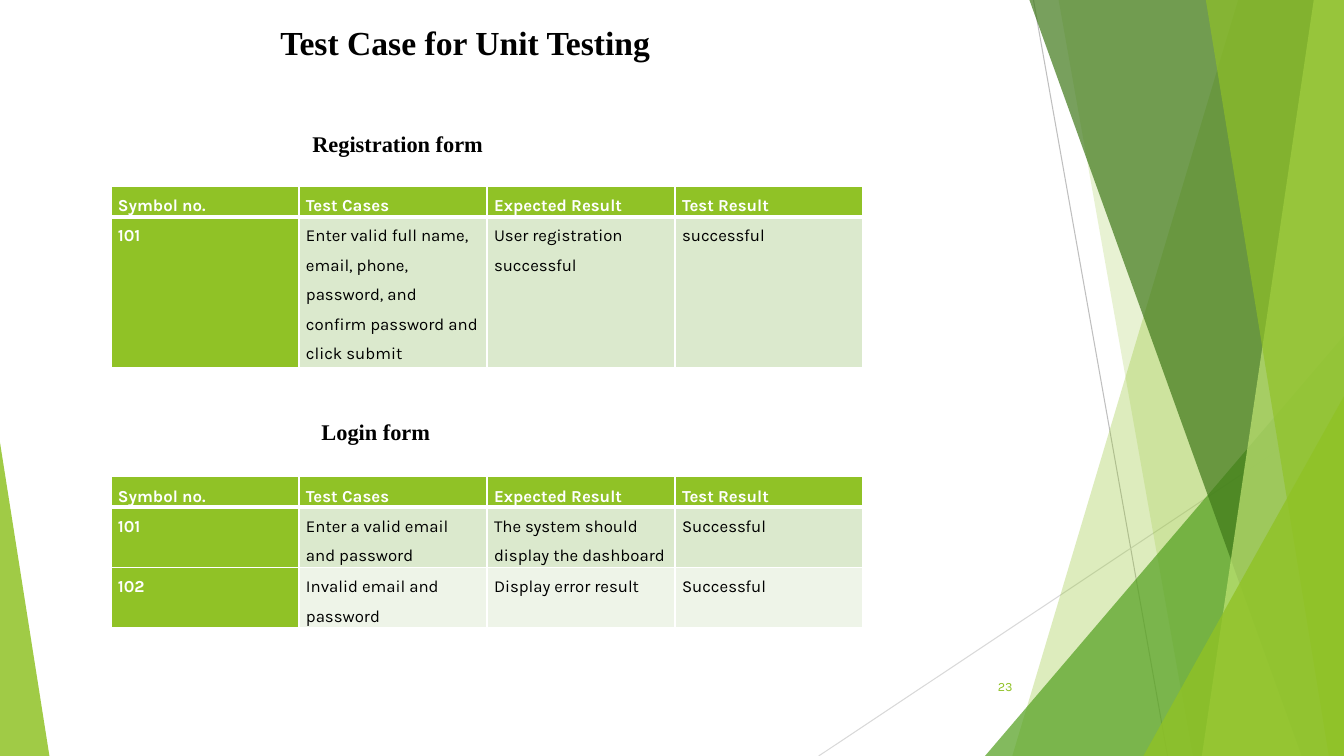
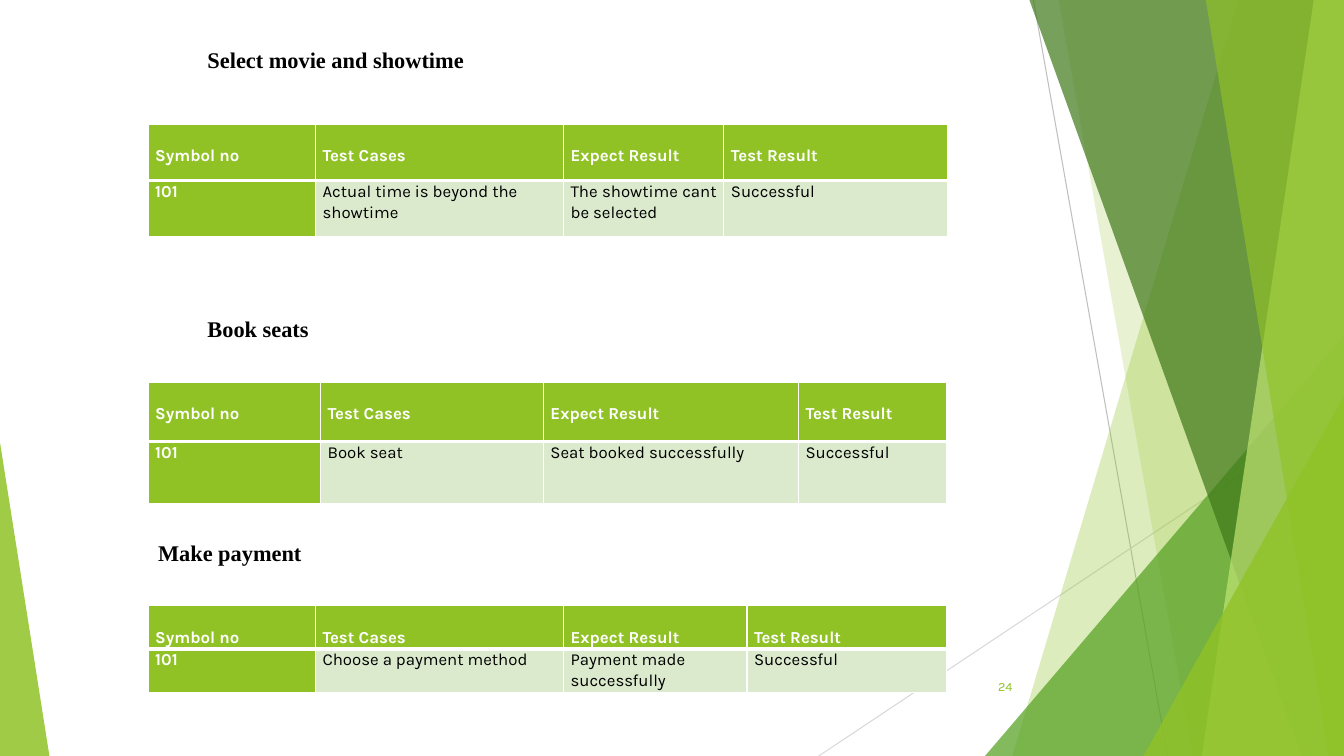
from lxml import etree
from pptx import Presentation
from pptx.dml.color import RGBColor
from pptx.enum.shapes import MSO_CONNECTOR, MSO_SHAPE
from pptx.enum.text import MSO_ANCHOR as Anchor, PP_ALIGN as Align
from pptx.oxml.ns import qn
from pptx.util import Inches, Pt

WIDTH, HEIGHT = 13.33, 7.5
GREEN, PALE, PALER = "90C226", "DBE9CD", "EEF4E8"
WHITE, BLACK = "FFFFFF", "000000"
SERIF, SANS = "Times New Roman", "Karla"


def paint(fill, color):
    fill.solid()
    fill.fore_color.rgb = RGBColor.from_string(color)


def write(frame, text, size, font, color, bold=False, align=Align.LEFT, spacing=None):
    frame.word_wrap = True
    frame.text = text
    para = frame.paragraphs[0]
    para.alignment = align
    para.line_spacing = spacing
    for span in para.runs:
        span.font.size = Pt(size)
        span.font.name = font
        span.font.bold = bold
        paint(span.font.fill, color)


deck = Presentation()
deck.slide_width, deck.slide_height = Inches(WIDTH), Inches(HEIGHT)
title_only, blank = deck.slide_layouts[5], deck.slide_layouts[6]

unit_page = deck.slides.add_slide(title_only)
booking_page = deck.slides.add_slide(blank)

ribbons = unit_page.shapes.add_group_shape()
hairlines = [
    (10.25, 0, 11.58, HEIGHT, "BFBFBF"),
    (WIDTH, 4.03, 8.12, HEIGHT, "D9D9D9"),
]
for x1, y1, x2, y2, color in hairlines:
    hairline = ribbons.shapes.add_connector(
        MSO_CONNECTOR.STRAIGHT, Inches(x1), Inches(y1), Inches(x2), Inches(y2))
    paint(hairline.line.fill, color)
    hairline.line.width = Pt(0.75)
    etree.SubElement(hairline.element.spPr, qn("a:effectLst"))

facets = [
    ("band", (12.28, 10.04), GREEN, 30),
    ("band", (10.5, 11.83), GREEN, 20),
    ("triangle", (9.77, 3.33, 3.56, 1), "54A021", 72),
    ("band", (10.21, 12.91), "3F7819", 70),
    ("band", (13.03, 11.92), "C0E474", 70),
    ("band", (11.96, 13.18), GREEN, 65),
    ("triangle", (11.34, 3.93, 1.99, 1), GREEN, 80),
    ("triangle", (0, 4.39, 0.49, 0), GREEN, 85),
]
for kind, place, color, opacity in facets:
    if kind == "band":
        top_x, bottom_x = place
        outline = ribbons.shapes.build_freeform(Inches(top_x), 0)
        outline.add_line_segments([
            (Inches(WIDTH), 0),
            (Inches(WIDTH), Inches(HEIGHT)),
            (Inches(bottom_x), Inches(HEIGHT)),
        ], close=True)
        facet = outline.convert_to_shape()
    else:
        left, top, width, apex = place
        facet = ribbons.shapes.add_shape(
            MSO_SHAPE.ISOSCELES_TRIANGLE,
            Inches(left), Inches(top), Inches(width), Inches(HEIGHT - top))
        facet.adjustments[0] = apex
    facet.shadow.inherit = False
    paint(facet.fill, color)
    tint = next(facet.element.spPr.iter(qn("a:srgbClr")))
    etree.SubElement(tint, qn("a:alpha")).set("val", str(opacity * 1000))
    facet.line.fill.background()

for number, node in enumerate(ribbons.element.iter(qn("p:cNvPr")), 100):
    node.set("id", str(number))
deck.slide_master.shapes.element.append(ribbons.element)

title = unit_page.shapes.title
title.left, title.top = Inches(2.68), Inches(0.17)
title.width, title.height = Inches(7.46), Inches(0.91)
title.text_frame.vertical_anchor = Anchor.TOP
write(title.text_frame, "Test Case for Unit Testing", 24, SERIF, BLACK, bold=True)

for page, number in [(unit_page, "23"), (booking_page, "24")]:
    box = page.shapes.add_textbox(Inches(9.39), Inches(6.61), Inches(0.75), Inches(0.4))
    box.text_frame.vertical_anchor = Anchor.MIDDLE
    write(box.text_frame, number, 9, SANS, GREEN, align=Align.RIGHT)

headings = [
    (unit_page, "Registration form", 3, 1.24),
    (unit_page, "Login form", 3.09, 4.1),
    (booking_page, "Select movie and showtime", 1.96, 0.41),
    (booking_page, "Book seats", 1.96, 3.08),
    (booking_page, "Make payment", 1.47, 5.3),
]
for page, text, left, top in headings:
    box = page.shapes.add_textbox(Inches(left), Inches(top), Inches(4.46), Inches(0.37))
    write(box.text_frame, text, 16, SERIF, BLACK, bold=True)

unit_header = ["Symbol no.", "Test Cases", "Expected Result", "Test Result"]
booking_header = ["Symbol no", "Test Cases", "Expect Result", "Test Result"]
unit_style = {"page": unit_page, "left": 1.1, "spacing": 1.5, "header_gap": 0}
booking_style = {"page": booking_page, "left": 1.47, "spacing": 1.07, "header_gap": 0.21}
unit_columns = [7.46 / 4] * 4

tables = [
    (unit_style, 1.85, unit_columns, [0.3, 1.5], [
        unit_header,
        ["101", "Enter valid full name, email, phone, password, and confirm password and click submit",
         "User registration successful", "successful"],
    ]),
    (unit_style, 4.73, unit_columns, [0.3, 0.6, 0.6], [
        unit_header,
        ["101", "Enter a valid email and password",
         "The system should display the dashboard", "Successful"],
        ["102", "Invalid email and password", "Display error result", "Successful"],
    ]),
    (booking_style, 1.23, [1.66, 2.46, 1.59, 2.22], [0.56, 0.56], [
        booking_header,
        ["101", "Actual time is beyond the showtime",
         "The showtime cant be selected", "Successful"],
    ]),
    (booking_style, 3.79, [1.71, 2.21, 2.53, 1.47], [0.59, 0.62], [
        booking_header,
        ["101", "Book seat", "Seat booked successfully", "Successful"],
    ]),
    (booking_style, 6.01, [1.66, 2.46, 1.82, 1.98], [0.43, 0.43], [
        booking_header,
        ["101", "Choose a payment method", "Payment made successfully", "Successful"],
    ]),
]
justified = {"The showtime cant be selected", "Seat booked successfully"}

for style, top, widths, heights, rows in tables:
    grid = style["page"].shapes.add_table(
        len(rows), len(widths), Inches(style["left"]), Inches(top),
        Inches(sum(widths)), Inches(sum(heights))).table
    grid.first_row = True
    grid.first_col = True
    grid.horz_banding = False
    for column, width in zip(grid.columns, widths):
        column.width = Inches(width)
    for r, (height, texts) in enumerate(zip(heights, rows)):
        grid.rows[r].height = Inches(height)
        for c, text in enumerate(texts):
            cell = grid.cell(r, c)
            strong = r == 0 or c == 0
            cell.margin_left = cell.margin_right = Inches(0.07)
            cell.margin_top = Inches(style["header_gap"] if r == 0 else 0)
            cell.margin_bottom = 0
            write(cell.text_frame, text, 12, SANS, WHITE if strong else BLACK, strong,
                  Align.JUSTIFY if text in justified else Align.LEFT, style["spacing"])
            properties = cell._tc.get_or_add_tcPr()
            thick = {0: "a:lnB", 1: "a:lnT"}.get(r)
            for side in ("a:lnL", "a:lnR", "a:lnT", "a:lnB"):
                border = etree.SubElement(properties, qn(side))
                border.set("w", str(Pt(3 if side == thick else 1)))
                solid = etree.SubElement(border, qn("a:solidFill"))
                etree.SubElement(solid, qn("a:srgbClr")).set("val", WHITE)
            paint(cell.fill, GREEN if strong else PALE if r == 1 else PALER)

deck.save("out.pptx")
